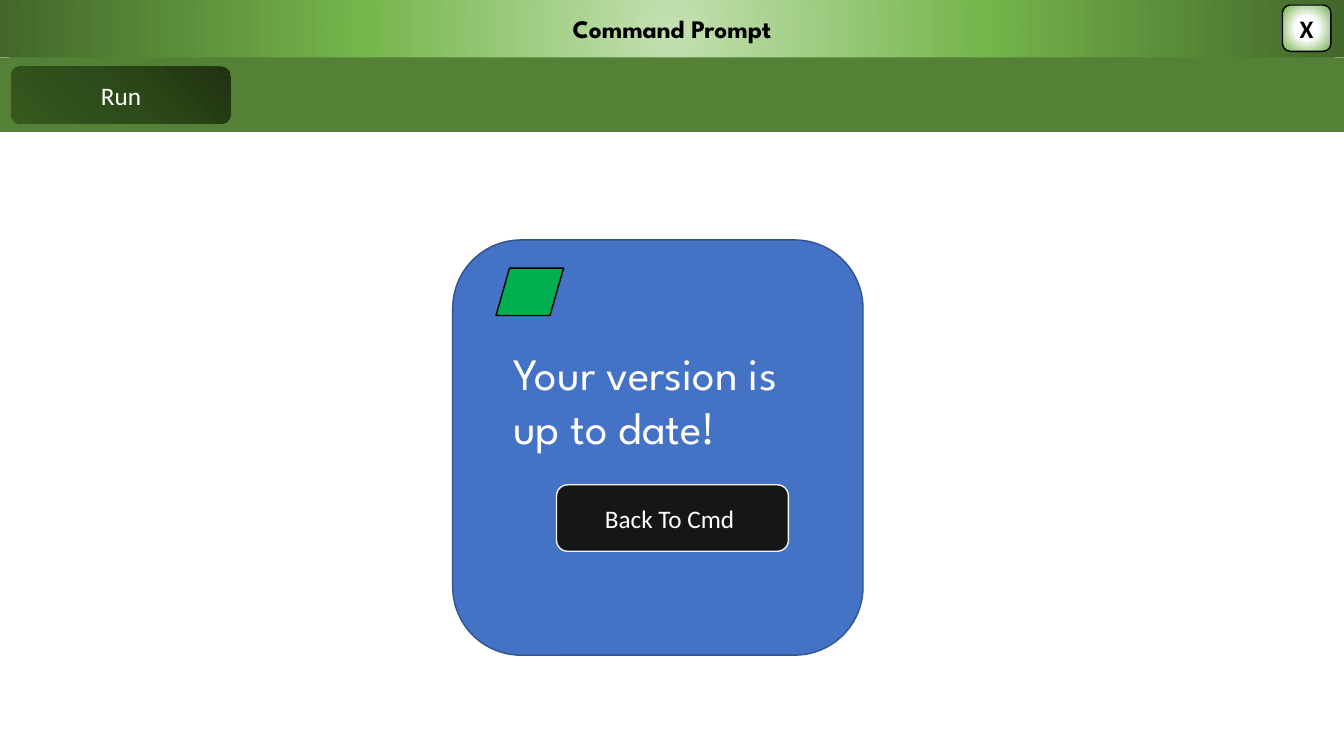
from dataclasses import dataclass, field
from typing import Optional

from lxml import etree
from pptx import Presentation, util as u
from pptx.dml.color import RGBColor
from pptx.enum import shapes, text
from pptx.oxml import ns

RECT = shapes.MSO_SHAPE.RECTANGLE
ROUND = shapes.MSO_SHAPE.ROUNDED_RECTANGLE
SLANT = shapes.MSO_SHAPE.FLOWCHART_DATA


@dataclass
class Gradient:
    stops: list[tuple[int, str]]
    angle: Optional[int] = None  # None spreads from the centre


@dataclass
class Label:
    text: str
    color: str = "FFFFFF"
    font: dict = field(default_factory=lambda: {"name": "Calibri", "size": u.Pt(18)})


@dataclass
class Panel:
    kind: int
    box: tuple[float, float, float, float]
    fill: str | Gradient
    line: Optional[str] = None
    label: Optional[Label] = None


def rgb(value: str) -> RGBColor:
    return RGBColor.from_string(value)


def set_gradient(sp, gradient: Gradient) -> None:
    """Replace the default gradient with the given stops and direction."""
    sp.fill.gradient()
    old = sp._element.spPr.find(ns.qn("a:gradFill"))
    grad = etree.Element(ns.qn("a:gradFill"), rotWithShape="1")
    stops = etree.SubElement(grad, ns.qn("a:gsLst"))
    for pos, color in gradient.stops:
        stop = etree.SubElement(stops, ns.qn("a:gs"), pos=str(pos * 1000))
        etree.SubElement(stop, ns.qn("a:srgbClr"), val=color)
    if gradient.angle is None:
        way = etree.SubElement(grad, ns.qn("a:path"), path="circle")
        etree.SubElement(way, ns.qn("a:fillToRect"),
                         {side: "50000" for side in "ltrb"})
    else:
        etree.SubElement(grad, ns.qn("a:lin"),
                         ang=str(gradient.angle * 60000), scaled="0")
    old.getparent().replace(old, grad)


def place(sp, box: tuple[float, float, float, float]) -> None:
    for name, value in zip(("left", "top", "width", "height"), box):
        setattr(sp, name, u.Inches(value))


def write(sp, label: Label, align, anchor) -> None:
    tf = sp.text_frame
    frame = {"word_wrap": True, "auto_size": text.MSO_AUTO_SIZE.NONE,
             "vertical_anchor": anchor}
    for name, value in frame.items():
        setattr(tf, name, value)
    p = tf.paragraphs[0]
    p.alignment, p.line_spacing = align, 1.0
    r = p.add_run()
    r.text = label.text
    for name, value in label.font.items():
        setattr(r.font, name, value)
    r.font.color.rgb = rgb(label.color)


def write_centred(sp, label: Label) -> None:
    write(sp, label, text.PP_ALIGN.CENTER, text.MSO_ANCHOR.MIDDLE)


def add_panel(s, panel: Panel) -> None:
    sp = s.shapes.add_shape(panel.kind, *map(u.Inches, panel.box))
    sp.shadow.inherit = False
    if isinstance(panel.fill, Gradient):
        set_gradient(sp, panel.fill)
    else:
        sp.fill.solid()
        sp.fill.fore_color.rgb = rgb(panel.fill)
    if panel.line:
        sp.line.color.rgb = rgb(panel.line)
        sp.line.width = u.Pt(1)
    else:
        sp.line.fill.background()
    if panel.label:
        write_centred(sp, panel.label)


TITLE_FILL = Gradient([(0, "C4E0B2"), (46, "75B54B"), (100, "43672A")])
CLOSE_FILL = Gradient([(0, "FFFFFF"), (35, "FFFFFF"), (100, "70AD47")])
RUN_FILL = Gradient([(0, "1F3311"), (50, "2D4A19"), (100, "37591F")], 135)
BOLD = {"size": u.Pt(18), "bold": True}

PANELS = [
    # Window bar
    Panel(ROUND, (12.72, 0.05, 0.48, 0.46), CLOSE_FILL, "000000",
          Label("X", "000000", {"name": "Calibri", **BOLD})),
    Panel(RECT, (0, 0.57, 13.33, 0.74), "548135"),
    Panel(ROUND, (0.11, 0.66, 2.18, 0.57), RUN_FILL, label=Label("Run")),
    # Dialog with its badge and button
    Panel(ROUND, (4.49, 2.38, 4.07, 4.12), "4472C4", "31538F"),
    Panel(SLANT, (4.92, 2.66, 0.67, 0.47), "00B050", "000000"),
    Panel(ROUND, (5.52, 4.81, 2.3, 0.66), "171616", "F2F2F2",
          Label("Back To Cmd ")),
]


def main() -> None:
    prs = Presentation()
    prs.slide_width, prs.slide_height = u.Inches(13.33), u.Inches(7.5)
    s = prs.slides.add_slide(prs.slide_layouts.get_by_name("Title Only"))

    # Title bar
    title = s.shapes.title
    place(title, (0, 0, 13.33, 0.57))
    set_gradient(title, TITLE_FILL)
    write_centred(title, Label("Command Prompt", "000000",
                               {"name": "League Spartan", **BOLD}))

    for panel in PANELS:
        add_panel(s, panel)

    # Dialog message
    message = s.shapes.add_textbox(*map(u.Inches, (4.99, 3.38, 3.07, 1.18)))
    write(message, Label("Your version is up to date!",
                         font={"name": "League Spartan", "size": u.Pt(32)}),
          text.PP_ALIGN.LEFT, text.MSO_ANCHOR.TOP)

    prs.save("out.pptx")


if __name__ == "__main__":
    main()
